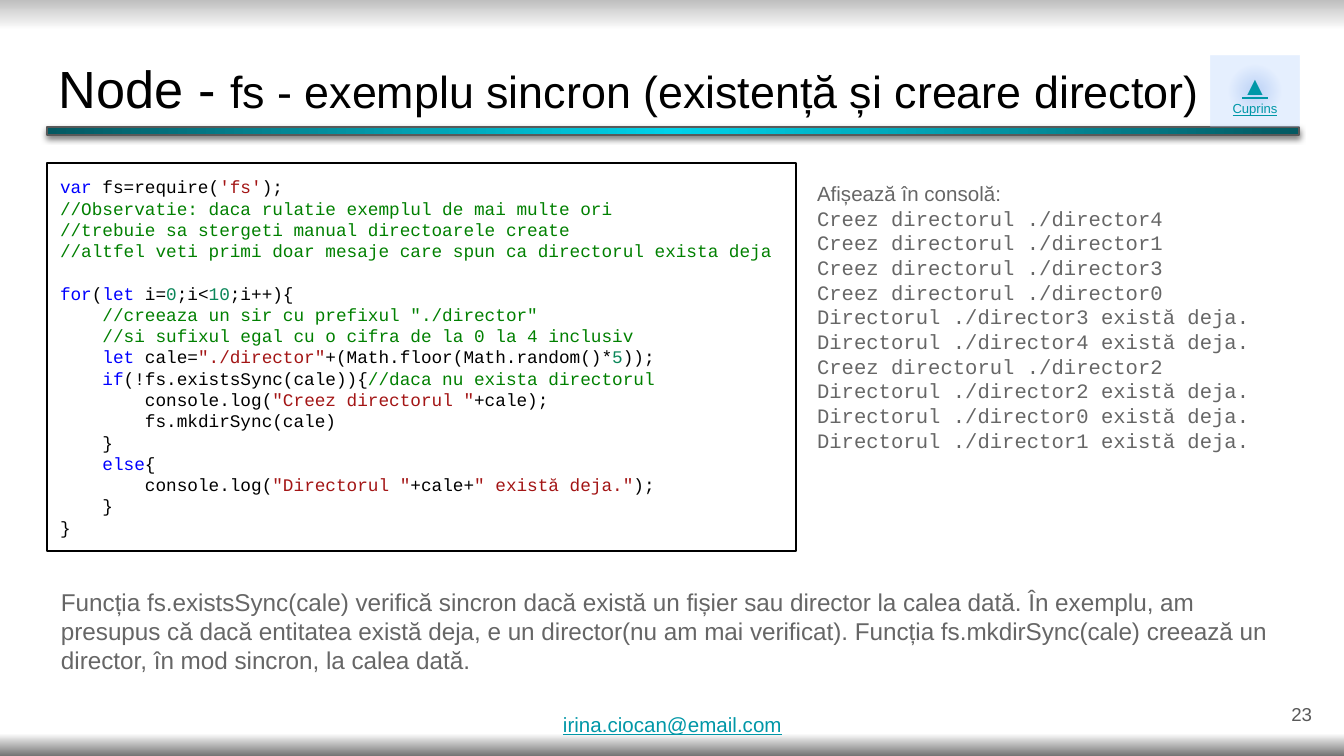
from lxml.etree import SubElement
from pptx import Presentation
from pptx.dml.color import RGBColor
from pptx.enum.shapes import MSO_SHAPE
from pptx.enum.text import MSO_ANCHOR, PP_ALIGN
from pptx.oxml.ns import qn
from pptx.util import Emu, Pt

SCALE = 914400 / 134.4
SANS, MONO = "Arial", "Courier New"
COLORS = {
    "plain": "000000", "keyword": "0000FF", "string": "A31515",
    "comment": "008000", "number": "098658", "body": "666666",
    "page": "595959", "link": "0097A7", "bright": "00D2E9",
    "deep": "045962", "pale": "BCD6FF", "glow": "4A86E8",
    "white": "FFFFFF", "silver": "BFBFBF", "gray": "737373",
}
CODE = [
    [("keyword", "var"), ("plain", " fs=require("), ("string", "'fs'"), ("plain", ");")],
    [("comment", "//Observatie: daca rulatie exemplul de mai multe ori")],
    [("comment", "//trebuie sa stergeti manual directoarele create")],
    [("comment", "//altfel veti primi doar mesaje care spun ca directorul exista deja")],
    [("keyword", "for"), ("plain", "("), ("keyword", "let"), ("plain", " i="), ("number", "0"),
     ("plain", ";i<"), ("number", "10"), ("plain", ";i++){")],
    [("comment", '    //creeaza un sir cu prefixul "./director"')],
    [("comment", "    //si sufixul egal cu o cifra de la 0 la 4 inclusiv")],
    [("keyword", "    let"), ("plain", " cale="), ("string", '"./director"'),
     ("plain", "+(Math.floor(Math.random()*"), ("number", "5"), ("plain", "));")],
    [("keyword", "    if"), ("plain", "(!fs.existsSync(cale)){"),
     ("comment", "//daca nu exista directorul")],
    [("plain", "        console.log("), ("string", '"Creez directorul "'), ("plain", "+cale);")],
    [("plain", "        fs.mkdirSync(cale)")],
    [("plain", "    }")],
    [("keyword", "    else"), ("plain", "{")],
    [("plain", "        console.log("), ("string", '"Directorul "'), ("plain", "+cale+"),
     ("string", '" există deja."'), ("plain", ");")],
    [("plain", "    }")],
    [("plain", "}")],
]
LOOP_LINE = 4
CONSOLE = [
    "Creez directorul ./director4", "Creez directorul ./director1",
    "Creez directorul ./director3", "Creez directorul ./director0",
    "Directorul ./director3 există deja.", "Directorul ./director4 există deja.",
    "Creez directorul ./director2", "Directorul ./director2 există deja.",
    "Directorul ./director0 există deja.", "Directorul ./director1 există deja.",
]
NOTE = (
    "Funcția fs.existsSync(cale) verifică sincron dacă există un fișier sau director la calea "
    "dată. În exemplu, am presupus că dacă entitatea există deja, e un director(nu am mai "
    "verificat). Funcția fs.mkdirSync(cale) creează un director, în mod sincron, la calea dată."
)


def px(n):
    """Turn pixels into EMU."""
    return Emu(round(n * SCALE))


def rgb(name):
    """Look up a colour by name."""
    return RGBColor.from_string(COLORS[name])


def set_gradient(fill, element, stops, alpha=None, radial=True):
    """Give a fill its gradient stops, radial from the centre or top to bottom."""
    fill.gradient()
    grad = element.find(".//" + qn("a:gradFill"))
    for child in list(grad):
        grad.remove(child)
    gs_list = SubElement(grad, qn("a:gsLst"))
    for pos, name in stops:
        gs = SubElement(gs_list, qn("a:gs"), pos=str(pos * 1000))
        color = SubElement(gs, qn("a:srgbClr"), val=COLORS[name])
        if alpha:
            SubElement(color, qn("a:alpha"), val=str(alpha * 1000))
    if radial:
        shape = SubElement(grad, qn("a:path"), path="circle")
        SubElement(shape, qn("a:fillToRect"), l="50000", t="50000", r="50000", b="50000")
    else:
        SubElement(grad, qn("a:lin"), ang="5400000", scaled="0")


def add_rect(s, x, y, w, h):
    """Add a rectangle with no shadow, fill or line."""
    sp = s.shapes.add_shape(MSO_SHAPE.RECTANGLE, px(x), px(y), px(w), px(h))
    sp.shadow.inherit = False
    sp.fill.background()
    sp.line.fill.background()
    return sp


def add_box(s, x, y, w, h):
    """Add a text box and return its text frame."""
    return s.shapes.add_textbox(px(x), px(y), px(w), px(h)).text_frame


def set_frame(tf, inset=13, anchor=MSO_ANCHOR.TOP, wrap=True):
    """Set the insets, anchor and wrapping of a text frame."""
    tf.margin_left = tf.margin_right = px(13)
    tf.margin_top = tf.margin_bottom = px(inset)
    tf.vertical_anchor = anchor
    tf.word_wrap = wrap


def add_lines(tf, lines, align=PP_ALIGN.LEFT):
    """Write lines of (text, size, font, colour) runs; link runs are underlined."""
    for i, line in enumerate(lines):
        p = tf.paragraphs[0] if i == 0 else tf.add_paragraph()
        p.alignment = align
        for text, size, font, color in line:
            r = p.add_run()
            r.text = text
            r.font.size = Pt(size)
            r.font.name = font
            r.font.color.rgb = rgb(color)
            if color == "link":
                r.font.underline = True


def add_header(s, x, y, w, h):
    """Place the title, the bar beneath it and the contents button."""
    tf = add_box(s, x - 1, y, w, h)
    set_frame(tf)
    add_lines(tf, [[("Node - ", 28, SANS, "plain"),
                    ("fs - exemplu sincron (existență și creare director)", 24, SANS, "plain")]])

    bar = add_rect(s, x, y + h, w, 8)
    set_gradient(bar.fill, bar.element.spPr, [(0, "bright"), (100, "deep")])
    bar.line.color.rgb = rgb("page")
    bar.line.width = Pt(0.75)
    effects = bar.element.spPr.find(qn("a:effectLst"))
    shadow = SubElement(effects, qn("a:outerShdw"), blurRad=str(Pt(3.4)), dist=str(Pt(1.5)),
                        dir="5400000", algn="bl", rotWithShape="0")
    color = SubElement(shadow, qn("a:srgbClr"), val=COLORS["plain"])
    SubElement(color, qn("a:alpha"), val="50000")

    button = add_rect(s, x + w - 88, y + 13, 88, h - 13)
    set_gradient(button.fill, button.element.spPr,
                 [(0, "pale"), (0, "glow"), (48, "pale"), (100, "pale")], alpha=37)
    set_frame(button.text_frame)
    add_lines(button.text_frame, [[("▲", 14, SANS, "link")], [("Cuprins", 7, SANS, "link")]],
              PP_ALIGN.CENTER)


def add_code(s, x, y, w, h):
    """Place the framed code listing."""
    sp = add_rect(s, x, y, w, h)
    sp.line.color.rgb = rgb("plain")
    sp.line.width = Pt(0.75)
    tf = sp.text_frame
    set_frame(tf)
    add_lines(tf, [[(text, 9.5, MONO, kind) for kind, text in line] for line in CODE])
    tf.paragraphs[LOOP_LINE].space_before = Pt(11.4)


def add_console(s, x, y, w, h):
    """Place the console output."""
    tf = add_box(s, x, y, w, h)
    set_frame(tf)
    lines = [[("Afișează în consolă:", 11, SANS, "body")]]
    lines += [[(text, 11, MONO, "body")] for text in CONSOLE]
    add_lines(tf, lines)


def add_note(s, x, y, w, h):
    """Place the explanation under the code."""
    tf = add_box(s, x, y, w, h)
    set_frame(tf)
    add_lines(tf, [[(NOTE, 13, SANS, "body")]])


def add_footer(s, x, y, w, h):
    """Place the e-mail address and the page number."""
    tf = add_box(s, x + 550, y + 27, 247, h - 27)
    set_frame(tf, inset=0, wrap=False)
    add_lines(tf, [[("irina.ciocan@email.com", 11, SANS, "link")]])
    tf = add_box(s, x + w - 81, y, 81, 58)
    set_frame(tf, anchor=MSO_ANCHOR.MIDDLE)
    add_lines(tf, [[("23", 10, SANS, "page")]], PP_ALIGN.RIGHT)


def main():
    """Build the slide and save it."""
    prs = Presentation()
    prs.slide_width, prs.slide_height = px(1344), px(756)
    s = prs.slides.add_slide(prs.slide_layouts[6])
    set_gradient(s.background.fill, s.element,
                 [(0, "silver"), (4, "white"), (97, "white"), (100, "gray")], radial=False)
    add_header(s, 47, 43, 1252, 84)
    add_code(s, 47, 163, 749, 388)
    add_console(s, 804, 168, 495, 325)
    add_note(s, 48, 574, 1250, 116)
    add_footer(s, 0, 685, 1325, 63)
    prs.save("out.pptx")


if __name__ == "__main__":
    main()
